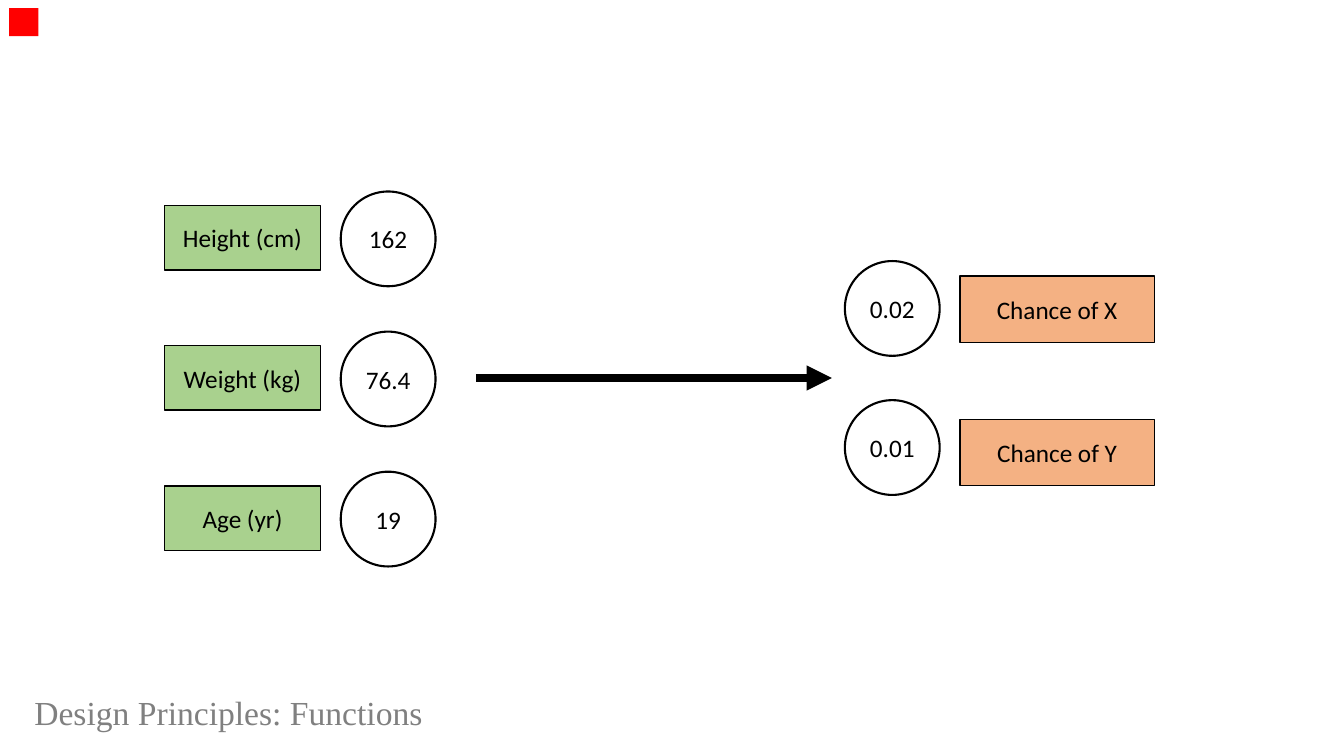
"""Build a slide showing a function from body measurements to chances."""
from lxml import etree
from pptx import Presentation
from pptx.dml.color import RGBColor
from pptx.enum import shapes, text
from pptx.oxml import ns
from pptx.util import Pt

PX = 9144
BLACK = RGBColor(0x00, 0x00, 0x00)
GREEN = RGBColor(0xA9, 0xD1, 0x8E)
ORANGE = RGBColor(0xF4, 0xB1, 0x83)
RED = RGBColor(0xFF, 0x00, 0x00)
GRAY = RGBColor(0x80, 0x80, 0x80)
RECT = shapes.MSO_SHAPE.RECTANGLE
OVAL = shapes.MSO_SHAPE.OVAL

TITLE = "Design Principles: Functions"
TITLE_AREA = (24, 681, 864, 50)
MARKER_AREA = (9, 8, 29, 28)
ARROW = (472, 375, 825, 375)
COLUMNS = [
    {"kind": OVAL, "labels": ["162", "76.4", "19"],
     "area": (338, 190, 94, 94), "pitch": 139, "fill": None, "line": 1.5},
    {"kind": OVAL, "labels": ["0.02", "0.01"],
     "area": (838, 259, 94, 94), "pitch": 138, "fill": None, "line": 1.5},
    {"kind": RECT, "labels": ["Height (cm)", "Weight (kg)", "Age (yr)"],
     "area": (163, 204, 155, 64), "pitch": 139, "fill": GREEN, "line": 1},
    {"kind": RECT, "labels": ["Chance of X", "Chance of Y"],
     "area": (952, 274, 193, 66), "pitch": 142, "fill": ORANGE, "line": 1},
]
LABEL_FONT = {"name": "Calibri", "size": Pt(18)}
TITLE_FONT = {"name": "Times New Roman", "size": Pt(24)}


def scaled(lengths):
    """Turn px lengths into EMU."""
    return [length * PX for length in lengths]


def write(frame, words, font, color, align, anchor):
    """Put one formatted paragraph into a text frame."""
    frame.word_wrap = True
    frame.vertical_anchor = anchor
    para = frame.paragraphs[0]
    para.alignment = align
    span = para.add_run()
    span.text = words
    for name, value in font.items():
        setattr(span.font, name, value)
    span.font.color.rgb = color


def add_box(page, kind, area, fill, line):
    """Add a flat shape with an optional fill and outline."""
    box = page.shapes.add_shape(kind, *scaled(area))
    box.shadow.inherit = False
    if fill is None:
        box.fill.background()
    else:
        box.fill.solid()
        box.fill.fore_color.rgb = fill
    if line is None:
        box.line.fill.background()
    else:
        box.line.color.rgb = BLACK
        box.line.width = Pt(line)
    return box


def add_column(page, column):
    """Add equally spaced labelled shapes from top to bottom."""
    left, top, width, height = column["area"]
    for row, label in enumerate(column["labels"]):
        area = (left, top + row * column["pitch"], width, height)
        box = add_box(page, column["kind"], area, column["fill"], column["line"])
        write(box.text_frame, label, LABEL_FONT, BLACK,
              text.PP_ALIGN.CENTER, text.MSO_ANCHOR.MIDDLE)


def add_arrow(page):
    """Add the thick arrow from inputs to outputs."""
    arrow = page.shapes.add_connector(shapes.MSO_CONNECTOR.STRAIGHT, *scaled(ARROW))
    arrow.line.color.rgb = BLACK
    arrow.line.width = Pt(6)
    etree.SubElement(arrow.line._get_or_add_ln(), ns.qn("a:tailEnd"), type="triangle")
    etree.SubElement(arrow._element.spPr, ns.qn("a:effectLst"))


def main():
    """Build and save the deck."""
    deck = Presentation()
    deck.slide_width, deck.slide_height = scaled((1333, 750))
    page = deck.slides.add_slide(deck.slide_layouts[5])
    for column in COLUMNS:
        add_column(page, column)
    add_arrow(page)
    add_box(page, RECT, MARKER_AREA, RED, None)
    title = page.shapes.title
    title.left, title.top, title.width, title.height = scaled(TITLE_AREA)
    write(title.text_frame, TITLE, TITLE_FONT, GRAY,
          text.PP_ALIGN.LEFT, text.MSO_ANCHOR.TOP)
    deck.save("out.pptx")


if __name__ == "__main__":
    main()
